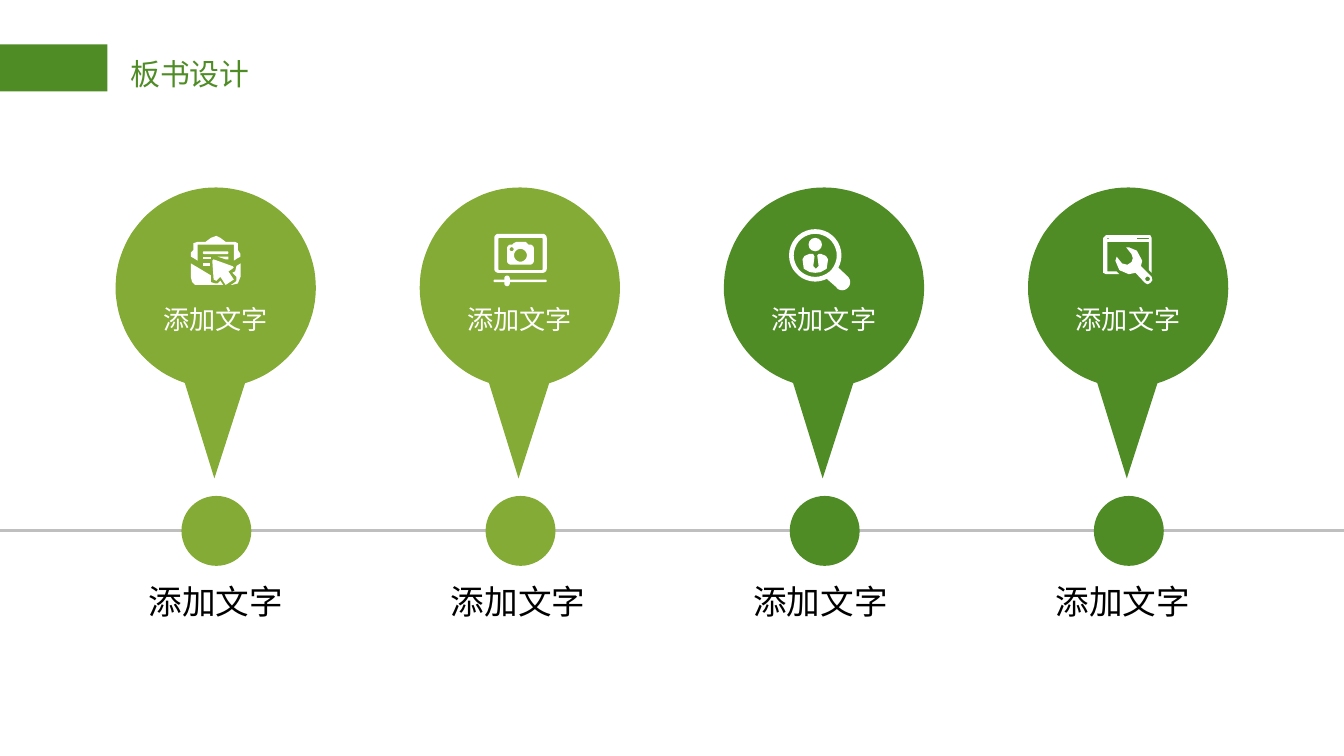
from math import cos, radians, sin

from lxml import etree
from pptx import Presentation
from pptx.dml.color import RGBColor
from pptx.enum.shapes import MSO_CONNECTOR, MSO_SHAPE
from pptx.enum.text import MSO_ANCHOR, MSO_AUTO_SIZE, PP_ALIGN
from pptx.oxml.ns import qn
from pptx.util import Inches, Pt

LINE = MSO_CONNECTOR.STRAIGHT
RECTANGLE, OVAL = MSO_SHAPE.RECTANGLE, MSO_SHAPE.OVAL
LEFT, CENTER = PP_ALIGN.LEFT, PP_ALIGN.CENTER
MIDDLE, TOP = MSO_ANCHOR.MIDDLE, MSO_ANCHOR.TOP
FIXED = MSO_AUTO_SIZE.NONE
COLORS = {"green": "4F8C26", "lime": "84AB35", "gray": "BFBFBF",
          "white": "FFFFFF", "black": "000000"}
LATIN, CJK = "Calibri", "Noto Sans CJK JP"
PIN_TOP, PIN_PITCH, LABEL_PITCH = 1.4, 2.263, 2.25
AXIS_Y = 3.95


def color(name):
    """Return the named palette color."""
    return RGBColor.from_string(COLORS[name])


def paint(shape, fill):
    """Give a shape a plain fill with no outline or shadow."""
    shape.shadow.inherit = False
    shape.fill.solid()
    shape.fill.fore_color.rgb = color(fill)
    shape.line.fill.background()


def add_preset(slide, preset, box, fill):
    """Add a filled preset shape in a box given in inches."""
    paint(slide.shapes.add_shape(preset, *map(Inches, box)), fill)


def add_outline(slide, origin, contours, fill):
    """Add one freeform from contours in hundredths of an inch."""
    builder = None
    for contour in contours:
        points = [(x * 10, y * 10) for x, y in contour]
        if builder is None:
            builder = slide.shapes.build_freeform(*points[0], scale=Inches(1) / 1000)
        else:
            builder.move_to(*points[0])
        builder.add_line_segments(points[1:], close=True)
    paint(builder.convert_to_shape(*map(Inches, origin)), fill)


def arc(x, y, radius, start=0, end=360, steps=36):
    """Return points along an arc, with angles in degrees."""
    angles = [radians(start + (end - start) * i / steps) for i in range(steps + 1)]
    return [(x + radius * cos(a), y + radius * sin(a)) for a in angles]


def rectangle(left, top, right, bottom, radius=0):
    """Return the contour of a rectangle with optional round corners."""
    if not radius:
        return [(left, top), (right, top), (right, bottom), (left, bottom)]
    corners = [(right - radius, bottom - radius), (left + radius, bottom - radius),
               (left + radius, top + radius), (right - radius, top + radius)]
    return [point for i, (x, y) in enumerate(corners)
            for point in arc(x, y, radius, 90 * i, 90 * i + 90, 6)]


PIN = arc(74.5, 74, 74.5, 73, -252, 90) + [(73.5, 216)]
MAIL_ICON = [
    [[(87, 58), (73, 53), (72, 54), (73, 68), (75, 69), (78, 66), (82, 72),
      (88, 68), (84, 62), (87, 60), (88, 59)]],
    [[(76, 71), (74, 71), (71, 70), (71, 65), (56, 56), (56, 66), (57, 70),
      (59, 72), (62, 72), (80, 72), (78, 69)]],
    [[(90, 58), (89, 62), (87, 63), (90, 66), (90, 69), (89, 70), (86, 72),
      (87, 72), (91, 71), (93, 66), (93, 56)]],
    [[(58, 52), (61, 54), (61, 42), (88, 42), (88, 54), (91, 52), (93, 51),
      (93, 49), (91, 46), (91, 41), (89, 40), (82, 40), (78, 37), (75, 35.5),
      (71, 37), (67, 40), (61, 40), (58, 41), (58, 46), (56, 48), (56, 51)]],
    [rectangle(65, 51, 71, 53)],
    [[(76, 51), (84, 51), (84, 53), (82, 53)]],
    [rectangle(65, 47, 84, 49, 1)],
    [rectangle(65, 56, 70, 58)],
]
CAMERA_ICON = [
    [rectangle(55.5, 34, 94.5, 63, 3), rectangle(58.5, 37, 91.5, 61, 1)],
    [rectangle(55, 68, 94.5, 70, 1)],
    [rectangle(63, 65, 67, 73, 2)],
    [arc(68, 45, 3, 180, 270, 6)
     + [(69, 42), (70, 41), (72, 40), (79, 40), (80, 41), (81, 42)]
     + arc(82, 45, 3, 270, 360, 6) + arc(82, 54, 3, 0, 90, 6)
     + arc(68, 54, 3, 90, 180, 6),
     arc(75, 50, 4.75), arc(68.5, 45.5, 1.5)],
]
PERSON_ICON = [
    [arc(68, 50, 19.5), arc(68, 50, 16)],
    [[(76, 67), (84, 74)] + arc(88, 70, 6, 135, -45, 12) + [(85, 59)]],
    [[(72.5, 49), (70.5, 49), (69.5, 50), (70.5, 58), (68.5, 60), (66.5, 58),
      (67.5, 51), (66.5, 49), (63.5, 49), (60, 50.5), (58.5, 53), (59.5, 60),
      (64, 62.5), (68, 63), (72, 62.5), (76.5, 60), (77.5, 53), (76, 50.5)]],
]
WRENCH_ICON = [
    [[(66, 51), (70, 56), (74, 57), (77, 55), (78, 52), (77, 49), (73, 44),
      (75, 44), (81, 46.5), (85, 54), (84, 58), (92, 66), (92.5, 68.5), (91, 70.5),
      (89, 71.5), (87, 70.5), (80, 63), (75, 64), (68, 61), (65, 54)],
     arc(89, 67.5, 1.75)],
    [[(66, 62), (59, 62), (59, 40), (90, 40), (90, 61), (92, 63), (92, 37),
      (91, 35), (58, 35), (56, 37), (56, 63), (58, 64), (68, 64)],
     rectangle(81, 37, 90, 38), rectangle(59, 37, 60, 38)],
]
STEPS = [("lime", MAIL_ICON), ("lime", CAMERA_ICON),
         ("green", PERSON_ICON), ("green", WRENCH_ICON)]


def set_text(shape, text, size, font, fill, alignment):
    """Write one uniformly formatted paragraph into a shape."""
    paragraph = shape.text_frame.paragraphs[0]
    paragraph.text = text
    paragraph.alignment = alignment
    paragraph.font.size = Pt(size)
    paragraph.font.name = font
    paragraph.font.color.rgb = color(fill)


def add_label(slide, box, text, size, fill):
    """Add a centered label in a box given in inches."""
    label = slide.shapes.add_textbox(*map(Inches, box))
    label.text_frame.word_wrap = True
    label.text_frame.vertical_anchor = TOP
    set_text(label, text, size, CJK, fill, CENTER)


def add_header(slide, left, top):
    """Add the accent bar and place the title beside it."""
    add_preset(slide, RECTANGLE, (left, top, 0.8, 0.35), "green")
    title = slide.shapes.title
    title.left, title.top = Inches(left + 0.89), Inches(top + 0.04)
    title.width, title.height = Inches(1.05), Inches(0.35)
    frame = title.text_frame
    frame.word_wrap = False
    frame.auto_size = FIXED
    frame.vertical_anchor = MIDDLE
    frame.margin_left = frame.margin_right = Inches(0.08)
    frame.margin_top = frame.margin_bottom = Inches(0.04)
    set_text(title, "板书设计", 16, LATIN, "green", LEFT)


def add_axis(slide, left, right):
    """Add the horizontal timeline axis."""
    axis = slide.shapes.add_connector(
        LINE, Inches(left), Inches(AXIS_Y), Inches(right), Inches(AXIS_Y))
    axis.line.color.rgb = color("gray")
    axis.line.width = Pt(1.5)
    etree.SubElement(axis._element.spPr, qn("a:effectLst"))


def add_step(slide, left, top, fill, icon):
    """Add a pin with its icon and text, and the dot on the axis."""
    add_outline(slide, (left, top), [PIN], fill)
    add_preset(slide, OVAL, (left + 0.49, AXIS_Y - 0.26, 0.52, 0.52), fill)
    for contours in icon:
        add_outline(slide, (left, top), contours, "white")
    if icon is PERSON_ICON:
        add_preset(slide, OVAL, (left + 0.63, top + 0.37, 0.1, 0.1), "white")
    add_label(slide, (left + 0.24, top + 0.81, 1.01, 0.34), "添加文字", 14, "white")


def main():
    """Build and save the timeline slide."""
    presentation = Presentation()
    presentation.slide_width = Inches(10)
    presentation.slide_height = Inches(10) * 9 // 16
    slide = presentation.slides.add_slide(presentation.slide_layouts[5])
    add_header(slide, 0, 0.33)
    add_axis(slide, 0, 10)
    for i, (fill, icon) in enumerate(STEPS):
        add_step(slide, 0.86 + i * PIN_PITCH, PIN_TOP, fill, icon)
        add_label(slide, (0.95 + i * LABEL_PITCH, 4.27, 1.31, 0.4), "添加文字", 18, "black")
    presentation.save("out.pptx")


if __name__ == "__main__":
    main()
